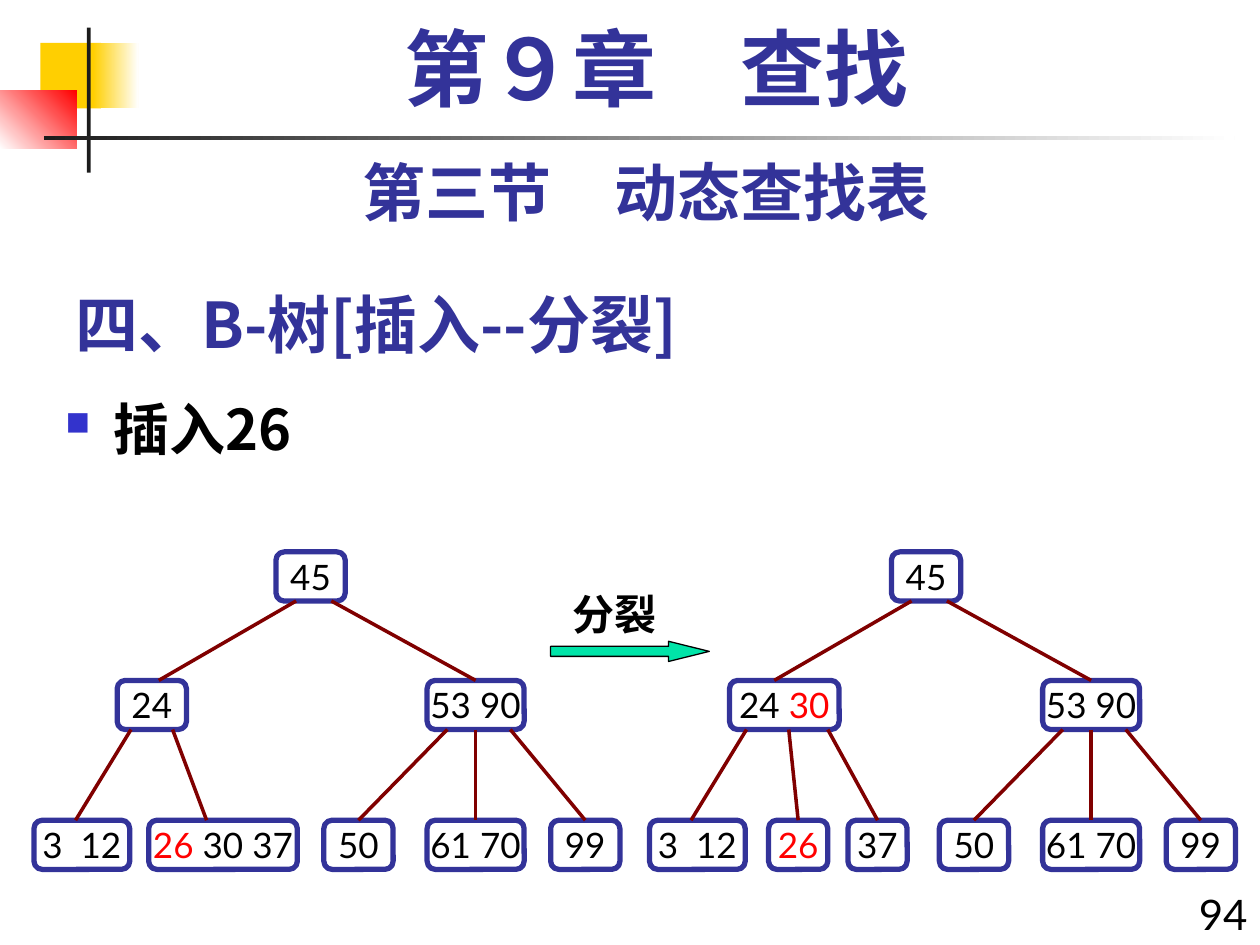
from dataclasses import dataclass

from lxml import etree
from pptx import Presentation
from pptx.dml.color import RGBColor
from pptx.enum.shapes import MSO_CONNECTOR, MSO_SHAPE
from pptx.enum.text import MSO_ANCHOR, MSO_AUTO_SIZE, PP_ALIGN
from pptx.oxml.ns import qn
from pptx.util import Inches, Pt

RECTANGLE = MSO_SHAPE.RECTANGLE
ROUNDED = MSO_SHAPE.ROUNDED_RECTANGLE
RIGHT_ARROW = MSO_SHAPE.RIGHT_ARROW
STRAIGHT = MSO_CONNECTOR.STRAIGHT
LEFT, CENTER, RIGHT = PP_ALIGN.LEFT, PP_ALIGN.CENTER, PP_ALIGN.RIGHT
TOP, MIDDLE, BOTTOM = MSO_ANCHOR.TOP, MSO_ANCHOR.MIDDLE, MSO_ANCHOR.BOTTOM
NO_AUTOFIT = MSO_AUTO_SIZE.NONE

COLORS = {
    "navy": "333399", "bullet": "3333CC", "maroon": "800000", "red": "FF0000",
    "yellow": "FFCF01", "ink": "1C1C1C", "green": "00E4A8",
    "black": "000000", "white": "FFFFFF",
}
LATO, CJK, TIMES = "Lato", "Noto Sans CJK SC", "Times New Roman"
NODE_HEIGHT = 0.39
ROWS = (4.38, 5.4, 6.51)
TREE_SHIFT = 4.885


@dataclass
class Span:
    text: str
    color: str = "black"


@dataclass
class Node:
    key: str
    left: float
    row: int
    width: float
    spans: tuple


@dataclass
class Edge:
    parent: str
    child: str
    start: float
    end: float


@dataclass
class Decoration:
    place: tuple
    colors: tuple
    angle: int = 0


@dataclass
class Label:
    place: tuple
    text: str
    align: PP_ALIGN
    format: dict


DECORATIONS = (
    Decoration((0.32, 0.34, 0.48, 0.52), ("yellow",)),
    Decoration((0.74, 0.34, 0.36, 0.52), ("yellow", "white")),
    Decoration((0, 0.72, 0.61, 0.46), ("white", "red"), 45),
    Decoration((0.69, 0.22, 0.03, 1.15), ("ink",)),
    Decoration((0.35, 1.08, 9.45, 0.03), ("ink", "white")),
)
CHAPTER = Label((0.67, 0.17, 9.08, 0.83), "第９章　查找", CENTER,
                {"size": Pt(48), "name": TIMES, "bold": True, "color": "navy"})
SECTION = Label((0.5, 1.17, 9.25, 0.7), "第三节　动态查找表", CENTER,
                {"size": Pt(36), "name": LATO, "bold": True, "color": "navy"})
TOPIC = Label((0.5, 2.17, 6.83, 0.75), "四、B-树[插入--分裂]", LEFT,
              {"size": Pt(36), "name": CJK, "bold": True, "color": "navy"})
INSERTION = Label((0.42, 3.08, 9.58, 0.7), "插入26", LEFT,
                  {"size": Pt(32), "name": CJK, "bold": True, "color": "black"})
SPLIT = Label((4.37, 4.62, 1.02, 0.5), "分裂", CENTER,
              {"size": Pt(24), "name": LATO, "bold": True, "color": "black"})
NUMBER = Label((9.33, 7, 0.67, 0.5), "94", RIGHT,
               {"size": Pt(24), "name": LATO, "bold": False, "color": "black"})

SHARED_NODES = (
    Node("root", 2.19, 0, 0.55, (Span("45"),)),
    Node("first leaf", 0.27, 2, 0.76, (Span("3  12"),)),
    Node("50", 2.57, 2, 0.55, (Span("50"),)),
    Node("99", 4.37, 2, 0.55, (Span("99"),)),
    Node("61", 3.39, 2, 0.77, (Span("61 70"),)),
    Node("right", 3.39, 1, 0.77, (Span("53 90"),)),
)
SHARED_EDGES = (
    Edge("root", "left", 2.35, 1.26),
    Edge("root", "right", 2.63, 3.77),
    Edge("left", "first leaf", 1.04, 0.6),
    Edge("right", "50", 3.55, 2.84),
    Edge("right", "61", 3.77, 3.77),
    Edge("right", "99", 4.05, 4.65),
)
BEFORE_NODES = (
    Node("left", 0.93, 1, 0.55, (Span("24"),)),
    Node("full leaf", 1.18, 2, 1.18, (Span("26", "red"), Span(" 30 37"))),
)
BEFORE_EDGES = (Edge("left", "full leaf", 1.37, 1.64),)
AFTER_NODES = (
    Node("left", 0.905, 1, 0.87, (Span("24 "), Span("30", "red"))),
    Node("26", 1.215, 2, 0.47, (Span("26", "red"),)),
    Node("37", 1.845, 2, 0.47, (Span("37"),)),
)
AFTER_EDGES = (
    Edge("left", "26", 1.375, 1.455),
    Edge("left", "37", 1.685, 2.085),
)


def rgb(name: str) -> RGBColor:
    return RGBColor.from_string(COLORS[name])


def add_span(para, text: str, format: dict) -> None:
    span = para.add_run()
    span.text = text
    for name, value in format.items():
        if name == "color":
            span.font.color.rgb = rgb(value)
        else:
            setattr(span.font, name, value)
    east_asian = etree.SubElement(span.font._element, qn("a:ea"))
    east_asian.set("typeface", CJK)


def fill_label(box, label: Label, anchor: MSO_ANCHOR = TOP):
    box.left, box.top, box.width, box.height = map(Inches, label.place)
    frame = box.text_frame
    for name, value in {"word_wrap": True, "auto_size": NO_AUTOFIT,
                        "vertical_anchor": anchor}.items():
        setattr(frame, name, value)
    para = frame.paragraphs[0]
    para.alignment = label.align
    add_span(para, label.text, label.format)
    return para


def add_label(page, label: Label):
    return fill_label(page.shapes.add_textbox(*map(Inches, label.place)), label)


def add_bullet(para) -> None:
    properties = para._p.get_or_add_pPr()
    properties.set("marL", str(Inches(0.38)))
    properties.set("indent", str(Inches(-0.38)))
    color = etree.SubElement(properties, qn("a:buClr"))
    etree.SubElement(color, qn("a:srgbClr")).set("val", COLORS["bullet"])
    etree.SubElement(properties, qn("a:buSzPct")).set("val", "60000")
    etree.SubElement(properties, qn("a:buChar")).set("char", "■")


def add_decoration(page, item: Decoration) -> None:
    box = page.shapes.add_shape(RECTANGLE, *map(Inches, item.place))
    box.shadow.inherit = False
    box.line.fill.background()
    if len(item.colors) == 1:
        box.fill.solid()
        box.fill.fore_color.rgb = rgb(item.colors[0])
        return
    box.fill.gradient()
    box.fill.gradient_angle = item.angle
    for stop, color in zip(box.fill.gradient_stops, item.colors):
        stop.color.rgb = rgb(color)


def add_node(group, node: Node, shift: float):
    place = (node.left + shift, ROWS[node.row], node.width, NODE_HEIGHT)
    box = group.shapes.add_shape(ROUNDED, *map(Inches, place))
    box.shadow.inherit = False
    box.fill.background()
    box.line.color.rgb = rgb("navy")
    box.line.width = Pt(3)
    box.text_frame.word_wrap = False
    box.text_frame.vertical_anchor = MIDDLE
    para = box.text_frame.paragraphs[0]
    para.alignment = CENTER
    for span in node.spans:
        add_span(para, span.text, {"size": Pt(20), "name": LATO, "color": span.color})
    return box


def is_middle(box, x: int) -> bool:
    return abs(box.left + box.width / 2 - x) < Inches(0.02)


def add_edge(group, edge: Edge, boxes: dict, shift: float) -> None:
    parent, child = boxes[edge.parent], boxes[edge.child]
    start, end = Inches(edge.start + shift), Inches(edge.end + shift)
    line = group.shapes.add_connector(
        STRAIGHT, start, parent.top + parent.height, end, child.top)
    line.line.color.rgb = rgb("maroon")
    line.line.width = Pt(2)
    etree.SubElement(line._element.spPr, qn("a:effectLst"))
    if is_middle(parent, start):
        line.begin_connect(parent, 2)
    if is_middle(child, end):
        line.end_connect(child, 0)


def add_tree(page, nodes: tuple, edges: tuple, shift: float) -> None:
    group = page.shapes.add_group_shape()
    boxes = {node.key: add_node(group, node, shift) for node in nodes}
    for edge in edges:
        add_edge(group, edge, boxes, shift)


def add_split_arrow(page) -> None:
    arrow = page.shapes.add_shape(RIGHT_ARROW, *map(Inches, (4.37, 5.09, 1.26, 0.16)))
    arrow.adjustments[0], arrow.adjustments[1] = 0.5, 2.02
    arrow.shadow.inherit = False
    arrow.fill.solid()
    arrow.fill.fore_color.rgb = rgb("green")
    arrow.line.color.rgb = rgb("black")
    arrow.line.width = Pt(0.75)


def main() -> None:
    deck = Presentation()
    deck.slide_width, deck.slide_height = Inches(10), Inches(7.5)
    page = deck.slides.add_slide(deck.slide_layouts[5])
    for item in DECORATIONS:
        add_decoration(page, item)
    fill_label(page.shapes.title, TOPIC, BOTTOM)
    add_label(page, NUMBER)
    add_label(page, SECTION)
    add_label(page, CHAPTER).line_spacing = 0.9
    add_tree(page, SHARED_NODES + BEFORE_NODES, SHARED_EDGES + BEFORE_EDGES, 0)
    add_bullet(add_label(page, INSERTION))
    add_tree(page, SHARED_NODES + AFTER_NODES, SHARED_EDGES + AFTER_EDGES, TREE_SHIFT)
    add_split_arrow(page)
    add_label(page, SPLIT)
    deck.save("out.pptx")


if __name__ == "__main__":
    main()
